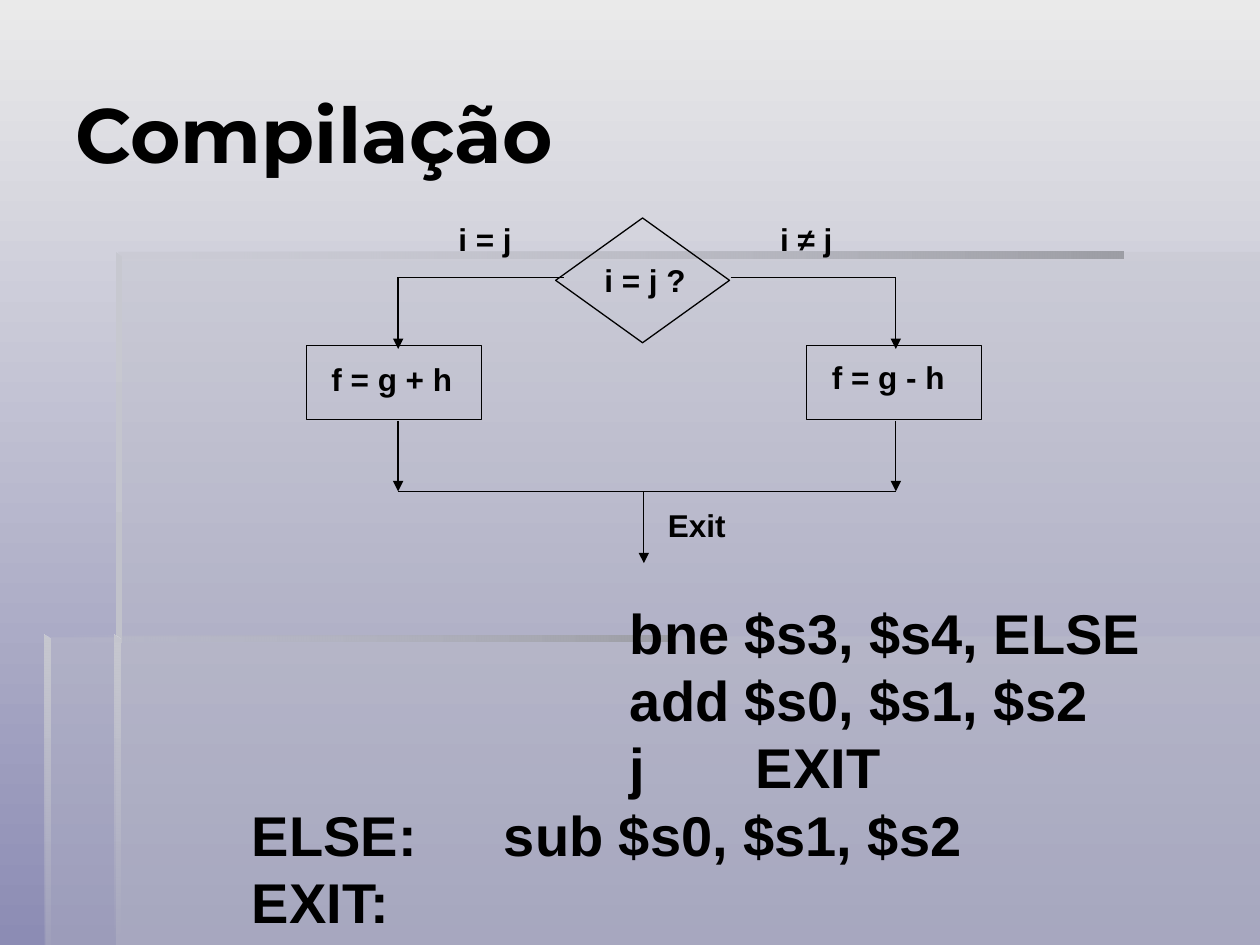
from dataclasses import dataclass

from lxml import etree
from pptx import Presentation
from pptx import util as u
from pptx.dml.color import RGBColor
from pptx.enum import shapes, text
from pptx.oxml.ns import qn

COLORS = {
    "ink": "000000",
    "sky": "EAEAEA",
    "dusk": "8C8CB4",
    "panel": "C1C2CB",
    "bar": "9D9EA5",
    "edge": "C7C8D0",
}
LEFT_X, RIGHT_X, EXIT_X = 3.16, 7.11, 5.11
BRANCH_Y, BOX_TOP, BOX_BOTTOM, JOIN_Y = 2.2, 2.77, 3.34, 3.9


@dataclass
class Panel:
    points: list[tuple[float, float]]
    stops: list[tuple[str, int]]
    angle: int = 0


@dataclass
class Node:
    kind: shapes.MSO_SHAPE
    left: float
    top: float
    width: float
    height: float


@dataclass
class Line:
    start: tuple[float, float]
    end: tuple[float, float]
    arrow: bool = False


@dataclass
class Label:
    words: str
    left: float
    top: float
    width: float
    height: float


def bar(left: float, top: float, width: float) -> Panel:
    right, bottom = left + width, top + 0.05
    points = [(left, top), (left, bottom), (right, bottom), (right, top)]
    return Panel(points, [("bar", 100), ("panel", 0)], 180)


def edge(left: float, top: float, bottom: float, end_alpha: int) -> Panel:
    right = left + 0.05
    points = [(left, top), (left, bottom), (right, bottom), (right, top + 0.04)]
    return Panel(points, [("edge", 100), ("panel", end_alpha)], 270)


PANELS = [
    Panel([(0.92, 5.05), (0.92, 7.5), (10, 7.5), (10, 5.05)], [("panel", 30)]),
    Panel([(0.94, 5.06), (0.36, 5.06), (0.36, 7.5), (10, 7.5), (10, 2), (0.94, 2)],
          [("panel", 30)]),
    bar(0.92, 2, 8),
    edge(0.92, 2, 5.1, 100),
    edge(0.91, 5.04, 7.5, 0),
    bar(0.35, 5.04, 5),
    edge(0.35, 5.04, 7.5, 10),
]
NODES = [
    Node(shapes.MSO_SHAPE.FLOWCHART_DECISION, 4.41, 1.73, 1.38, 0.99),
    Node(shapes.MSO_SHAPE.FLOWCHART_PROCESS, 2.43, 2.74, 1.39, 0.59),
    Node(shapes.MSO_SHAPE.FLOWCHART_PROCESS, 6.4, 2.74, 1.39, 0.59),
]
LINES = [
    Line((LEFT_X, BRANCH_Y), (4.48, BRANCH_Y)),
    Line((5.8, BRANCH_Y), (RIGHT_X, BRANCH_Y)),
    Line((LEFT_X, JOIN_Y), (RIGHT_X, JOIN_Y)),
    Line((EXIT_X, JOIN_Y), (EXIT_X, 4.47), True),
]
for column in (LEFT_X, RIGHT_X):
    LINES.append(Line((column, BRANCH_Y), (column, BOX_TOP), True))
    LINES.append(Line((column, BOX_BOTTOM), (column, JOIN_Y), True))
LABELS = [
    Label("Exit", 5.03, 3.97, 1, 0.57),
    Label("i = j ?", 4.45, 2.02, 1.34, 0.63),
    Label("i ≠ j", 5.55, 1.7, 1.7, 0.94),
    Label("i = j", 3.16, 1.7, 1.38, 0.88),
    Label("f = g + h", 2.4, 2.81, 1.42, 0.55),
    Label("f = g - h", 6.34, 2.79, 1.42, 0.57),
]
CODE = [
    "\t\tbne $s3, $s4, ELSE",
    "\t\tadd $s0, $s1, $s2",
    "\t\tj\tEXIT",
    "ELSE:\tsub $s0, $s1, $s2",
    "EXIT:",
]


def color(name: str) -> RGBColor:
    return RGBColor.from_string(COLORS[name])


def fill_gradient(fill, names: list[str], angle: int) -> None:
    fill.gradient()
    fill.gradient_angle = angle
    for stop, name, position in zip(fill.gradient_stops, names, (0, 1)):
        stop.color.rgb = color(name)
        stop.position = position


def draw_panel(slide, panel: Panel) -> None:
    points = [(u.Inches(x), u.Inches(y)) for x, y in panel.points]
    builder = slide.shapes.build_freeform(*points[0])
    builder.add_line_segments(points[1:], close=True)
    shape = builder.convert_to_shape()
    shape.shadow.inherit = False
    names = [name for name, _ in panel.stops]
    if len(names) == 1:
        shape.fill.solid()
        shape.fill.fore_color.rgb = color(names[0])
    else:
        fill_gradient(shape.fill, names, panel.angle)
    tints = list(shape._element.spPr.iter(qn("a:srgbClr")))
    for tint, (_, alpha) in zip(tints, panel.stops):
        etree.SubElement(tint, qn("a:alpha"), val=str(alpha * 1000))
    shape.line.fill.background()


def ink_line(line) -> None:
    line.color.rgb = color("ink")
    line.width = u.Pt(0.75)


def draw_node(slide, node: Node) -> None:
    frame = map(u.Inches, (node.left, node.top, node.width, node.height))
    shape = slide.shapes.add_shape(node.kind, *frame)
    shape.shadow.inherit = False
    shape.fill.background()
    ink_line(shape.line)


def draw_line(slide, line: Line) -> None:
    ends = map(u.Inches, (*line.start, *line.end))
    connector = slide.shapes.add_connector(shapes.MSO_CONNECTOR.STRAIGHT, *ends)
    ink_line(connector.line)
    properties = connector._element.spPr
    if line.arrow:
        etree.SubElement(properties.find(qn("a:ln")), qn("a:tailEnd"), type="triangle")
    etree.SubElement(properties, qn("a:effectLst"))


def add_span(para, words: str, size: int, font: str = "Arial") -> None:
    span = para.add_run()
    span.text = words
    span.font.name = font
    span.font.size = u.Pt(size)
    span.font.bold = True
    span.font.color.rgb = color("ink")


def draw_label(slide, label: Label) -> None:
    frame = map(u.Inches, (label.left, label.top, label.width, label.height))
    box = slide.shapes.add_textbox(*frame)
    box.text_frame.word_wrap = True
    para = box.text_frame.paragraphs[0]
    para.alignment = text.PP_ALIGN.CENTER
    add_span(para, label.words, 18)


def draw_code(slide, lines: list[str]) -> None:
    box = slide.shapes.add_textbox(*map(u.Inches, (0.9, 4.7, 8.27, 2.77)))
    box.text_frame.word_wrap = True
    box.text_frame.margin_left = u.Inches(1.1)
    for index, words in enumerate(lines):
        para = box.text_frame.paragraphs[0] if index == 0 else box.text_frame.add_paragraph()
        para.line_spacing = u.Pt(38.4)
        add_span(para, words, 32)
        properties = para._p.get_or_add_pPr()
        etree.SubElement(properties, qn("a:buNone"))
        tabs = etree.SubElement(properties, qn("a:tabLst"))
        for inch in (2, 3, 4):
            etree.SubElement(tabs, qn("a:tab"), pos=str(u.Inches(inch)), algn="l")


def draw_title(slide, words: str) -> None:
    title = slide.shapes.title
    title.left, title.top, title.width, title.height = map(u.Inches, (0.5, 0.27, 9.17, 1.57))
    title.text_frame.vertical_anchor = text.MSO_ANCHOR.MIDDLE
    para = title.text_frame.paragraphs[0]
    para.alignment = text.PP_ALIGN.LEFT
    add_span(para, words, 44, "Montserrat")


def main() -> None:
    deck = Presentation()
    deck.slide_width, deck.slide_height = u.Inches(10), u.Inches(7.5)
    slide = deck.slides.add_slide(deck.slide_layouts[5])
    fill_gradient(slide.background.fill, ["sky", "dusk"], 270)
    for draw, items in ((draw_panel, PANELS), (draw_node, NODES),
                        (draw_line, LINES), (draw_label, LABELS)):
        for item in items:
            draw(slide, item)
    draw_title(slide, "Compilação")
    draw_code(slide, CODE)
    deck.save("out.pptx")


if __name__ == "__main__":
    main()
